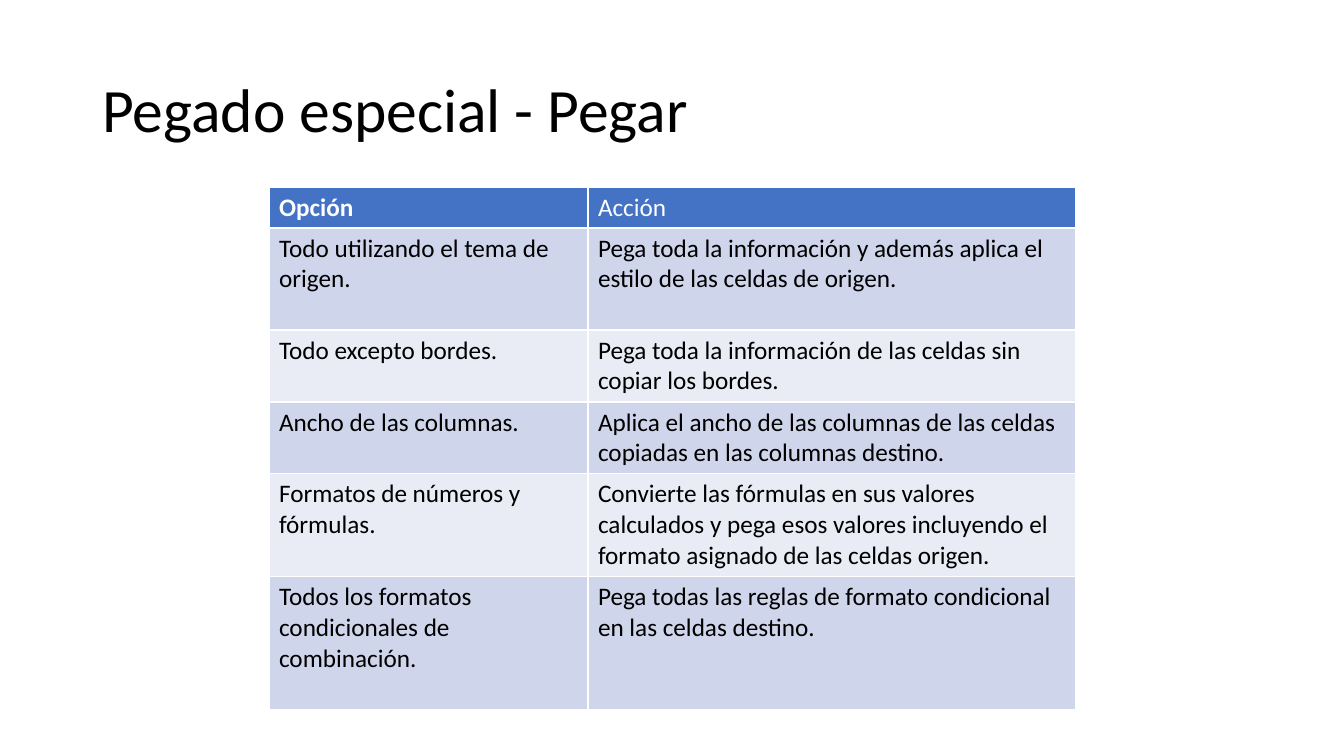
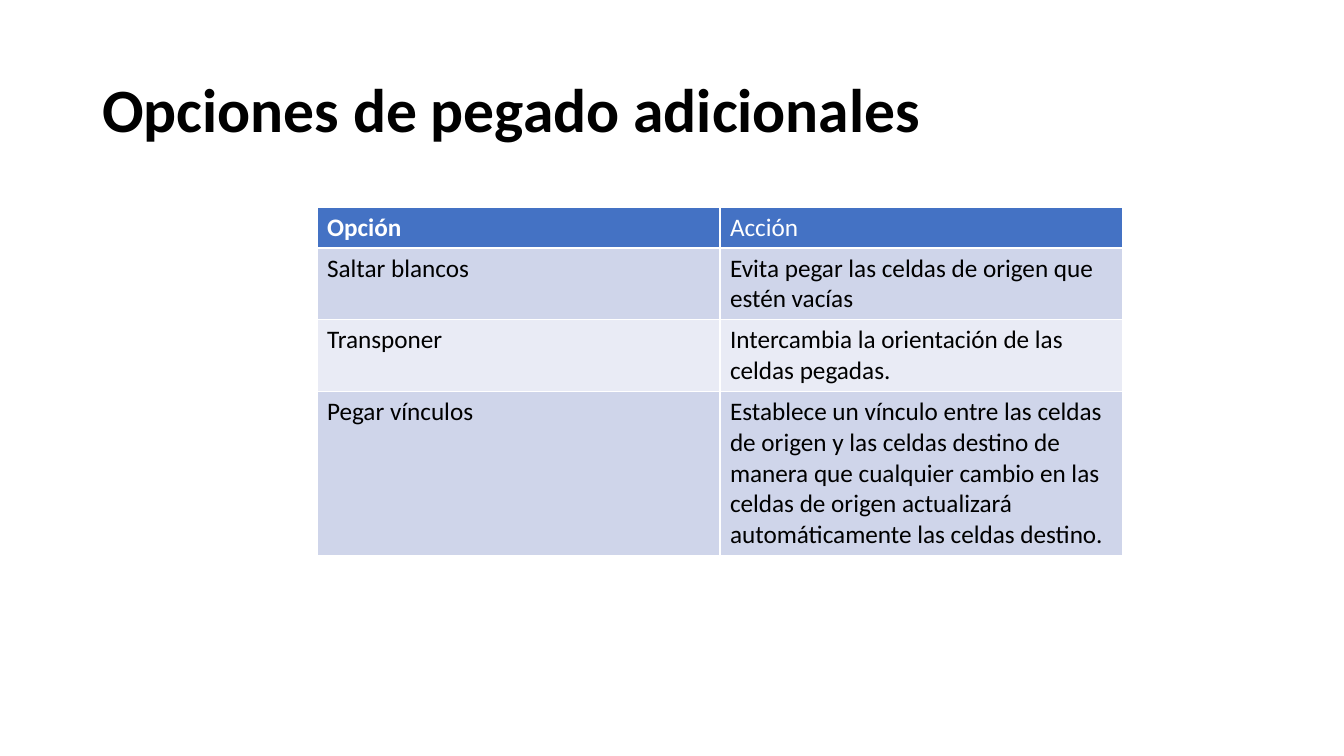
from lxml.etree import SubElement
from pptx import Presentation
from pptx.dml.color import RGBColor
from pptx.enum.text import MSO_ANCHOR, MSO_AUTO_SIZE, PP_ALIGN
from pptx.oxml.ns import qn
from pptx.util import Emu, Pt

# Shared style
PX = 914400 / 100.8
FONT = "Calibri"
BLACK = RGBColor(0x00, 0x00, 0x00)
WHITE = RGBColor(0xFF, 0xFF, 0xFF)
HEADER_BLUE = RGBColor(0x44, 0x72, 0xC4)
BAND_DARK = RGBColor(0xCF, 0xD5, 0xEA)
BAND_LIGHT = RGBColor(0xE9, 0xEB, 0xF5)
TITLE_BOX = (92, 40, 1159, 146)
HEADER = ("Opción", "Acción")

# Slide content: lengths in px, one height per table row
SLIDES = [
    {
        "title": "Pegado especial - Pegar",
        "bold": False,
        "corner": (269, 187),
        "columns": (319, 488),
        "heights": (41, 102, 72, 71, 103, 133),
        "rows": [
            ("Todo utilizando el tema de origen.",
             "Pega toda la información y además aplica el estilo de las celdas de origen."),
            ("Todo excepto bordes.",
             "Pega toda la información de las celdas sin copiar los bordes."),
            ("Ancho de las columnas.",
             "Aplica el ancho de las columnas de las celdas copiadas en las columnas destino."),
            ("Formatos de números y fórmulas.",
             "Convierte las fórmulas en sus valores calculados y pega esos valores "
             "incluyendo el formato asignado de las celdas origen."),
            ("Todos los formatos condicionales de combinación.",
             "Pega todas las reglas de formato condicional en las celdas destino."),
        ],
    },
    {
        "title": "Opciones de pegado adicionales",
        "bold": True,
        "corner": (317, 207),
        "columns": (403, 403),
        "heights": (41, 71, 72, 163),
        "rows": [
            ("Saltar blancos",
             "Evita pegar las celdas de origen que estén vacías"),
            ("Transponer",
             "Intercambia la orientación de las celdas pegadas."),
            ("Pegar vínculos",
             "Establece un vínculo entre las celdas de origen y las celdas destino "
             "de manera que cualquier cambio en las celdas de origen actualizará "
             "automáticamente las celdas destino."),
        ],
    },
]


def px(length):
    return Emu(round(length * PX))


def add_text(paragraph, text, size, color, bold):
    run = paragraph.add_run()
    run.text = text
    run.font.name = FONT
    run.font.size = Pt(size)
    run.font.bold = bold
    run.font.color.rgb = color


presentation = Presentation()
presentation.slide_width = px(1344)
presentation.slide_height = px(756)
title_only = presentation.slide_layouts[5]

for content in SLIDES:
    slide = presentation.slides.add_slide(title_only)

    # Title
    title = slide.shapes.title
    title.left, title.top, title.width, title.height = map(px, TITLE_BOX)
    frame = title.text_frame
    frame.auto_size = MSO_AUTO_SIZE.NONE
    frame.word_wrap = True
    frame.vertical_anchor = MSO_ANCHOR.MIDDLE
    paragraph = frame.paragraphs[0]
    paragraph.alignment = PP_ALIGN.LEFT
    paragraph.line_spacing = 0.9
    add_text(paragraph, content["title"], 44, BLACK, content["bold"])

    # Table grid
    rows = [HEADER] + content["rows"]
    left, top = content["corner"]
    columns, heights = content["columns"], content["heights"]
    table = slide.shapes.add_table(
        len(rows), len(columns), px(left), px(top), px(sum(columns)), px(sum(heights))
    ).table
    for column, width in zip(table.columns, columns):
        column.width = px(width)
    for row, height in zip(table.rows, heights):
        row.height = px(height)

    # Cells: blue header, then alternating bands
    for row_index, texts in enumerate(rows):
        is_header = row_index == 0
        band = BAND_DARK if row_index % 2 else BAND_LIGHT
        for column_index, text in enumerate(texts):
            cell = table.cell(row_index, column_index)
            add_text(cell.text_frame.paragraphs[0], text, 18,
                     WHITE if is_header else BLACK,
                     is_header and column_index == 0)

            # Borders go before the fill in the cell properties
            properties = cell._tc.get_or_add_tcPr()
            for side in ("a:lnL", "a:lnR", "a:lnT", "a:lnB"):
                line = SubElement(properties, qn(side), w=str(Pt(1)))
                line_fill = SubElement(line, qn("a:solidFill"))
                SubElement(line_fill, qn("a:srgbClr"), val=str(WHITE))
            cell.fill.solid()
            cell.fill.fore_color.rgb = HEADER_BLUE if is_header else band

presentation.save("out.pptx")
